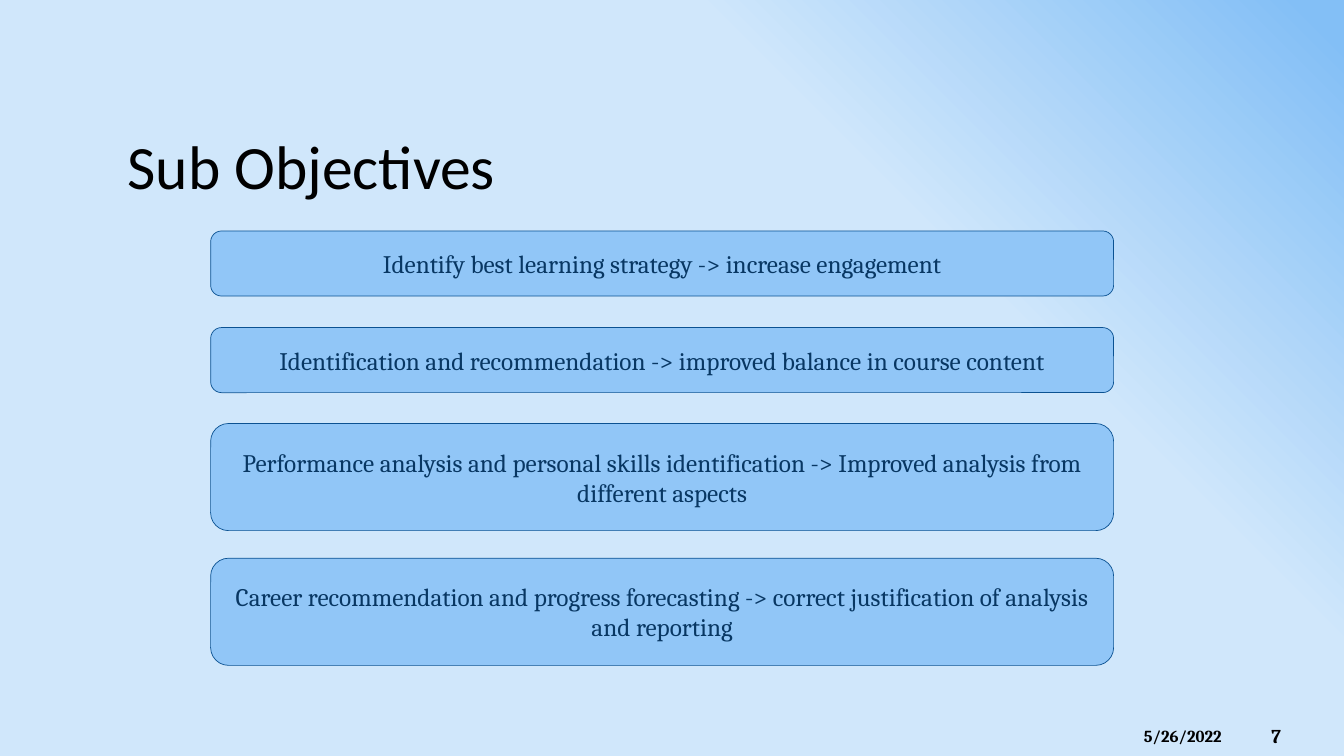
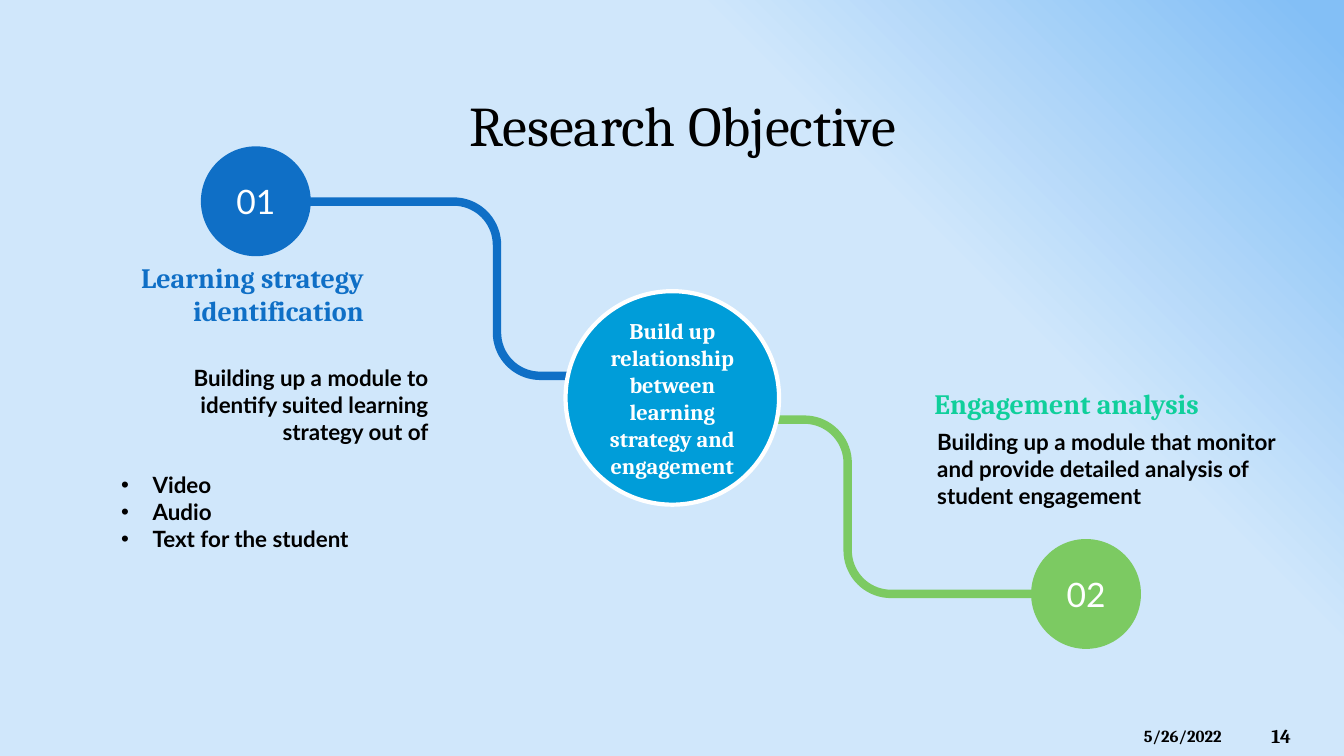
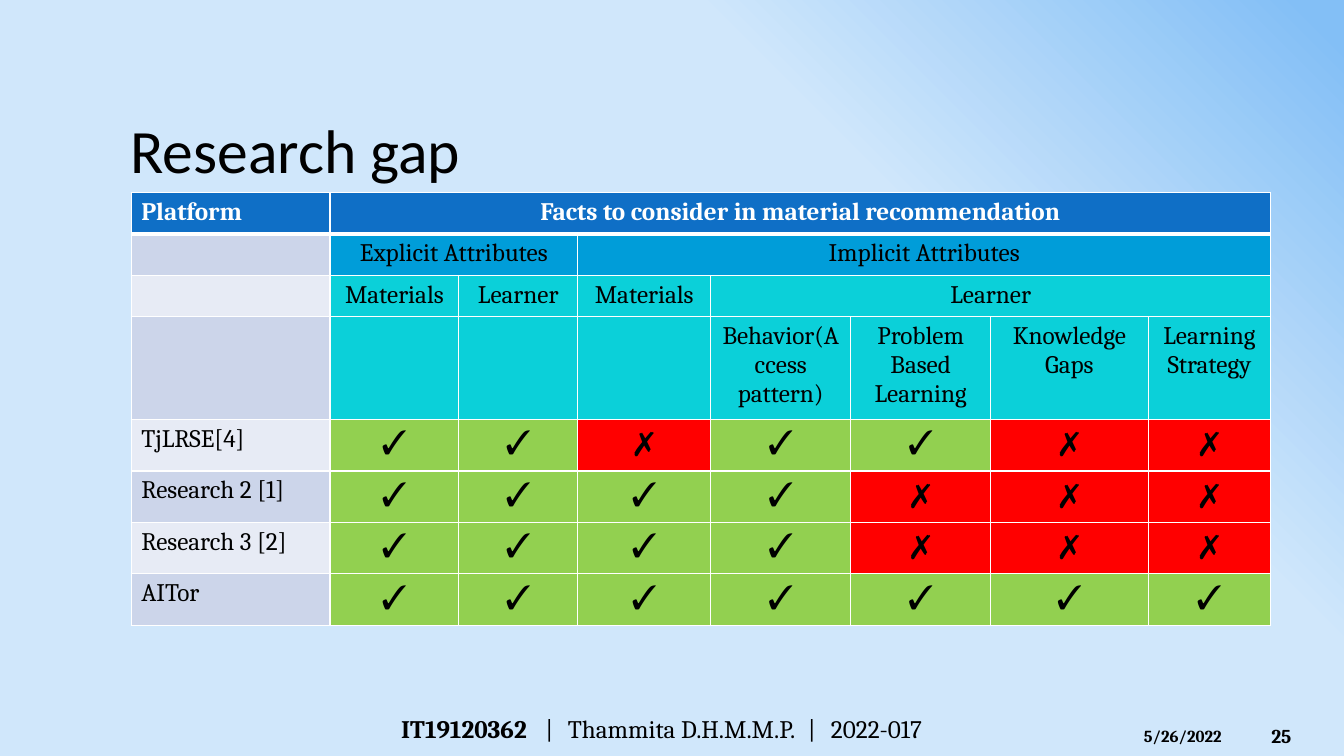
from math import cos, radians, sin

from lxml.etree import SubElement
from pptx import Presentation
from pptx.dml.color import RGBColor
from pptx.enum.shapes import MSO_SHAPE as Preset
from pptx.enum.text import MSO_ANCHOR as Anchor, PP_ALIGN as Align
from pptx.oxml.ns import qn
from pptx.util import Pt

SERIF, SANS, TITLE_FONT = "Cambria", "Lato", "Calibri"
BLACK, WHITE = "000000", "FFFFFF"
BLUE, SKY, TEAL, MINT, GREEN = "0F6FC6", "009DD9", "0BD0D9", "10CF9B", "7CCA62"
BOX_FILL, BOX_LINE, BOX_TEXT = "91C6F7", "0B5292", "083763"
BANDS = ("CCD5EA", "E7EBF5")
MARK_FILLS = {"✓": "92D050", "✗": "FF0000"}
BACKGROUND_STOPS = [(69, "D0E7FB"), (98, "83BFF6"), (100, "83BFF6"), (100, "ACD4F9")]
DATE = "5/26/2022"

# text, top, height
SUB_OBJECTIVES = [
    ("Identify best learning strategy -> increase engagement", 165, 46.5),
    ("Identification and recommendation -> improved balance in course content",
     234, 46.5),
    ("Performance analysis and personal skills identification -> "
     "Improved analysis from different aspects", 302.5, 76.5),
    ("Career recommendation and progress forecasting -> "
     "correct justification of analysis and reporting", 398.75, 76.5),
]

# left, top, horizontal offset of the vertical part, colour
PIPES = [(209, 144, 146, BLUE), (493, 299.75, 112.5, GREEN)]
PIPE_WIDTH, PIPE_HEIGHT, BEND_RADIUS = 258.5, 124.5, 31

# text, left, top, diameter, fill, outline, font, size, bold
CIRCLES = [
    ("Build up relationship between learning strategy and engagement",
     404, 208, 152.5, SKY, WHITE, SERIF, 16, True),
    ("01", 143.5, 104.5, 78.5, BLUE, None, SANS, 24, False),
    ("02", 736.5, 385, 78.5, GREEN, None, SANS, 24, False),
]

MODULE_TEXT = "Building up a module to identify suited learning strategy out of"
MATERIALS = ["Video", "Audio", "Text for the student"]
ENGAGEMENT_TEXT = ("Building up a module that monitor and provide detailed "
                   "analysis of student engagement")

COLUMN_WIDTHS = [142, 92, 85, 95, 100, 100, 112.5, 87.5]
ROW_HEIGHTS = [29.5] * 3 + [73.5] + [36.75] * 4
# fill, then (text, columns spanned) after the platform column
HEADER_ROWS = [
    (BLUE, [("Facts to consider in material recommendation", 7)]),
    (SKY, [("Explicit Attributes", 2), ("Implicit Attributes", 5)]),
    (TEAL, [("Materials", 1), ("Learner", 1), ("Materials", 1), ("Learner", 4)]),
    (TEAL, [("", 1), ("", 1), ("", 1), ("Behavior(Access pattern)", 1),
            ("Problem Based Learning", 1), ("Knowledge Gaps", 1),
            ("Learning Strategy", 1)]),
]
PLATFORMS = [
    ("TjLRSE[4]", "✓✓✗✓✓✗✗"),
    ("Research 2 [1]", "✓✓✓✓✗✗✗"),
    ("Research 3 [2]", "✓✓✓✓✗✗✗"),
    ("AITor", "✓✓✓✓✓✓✓"),
]

AUTHOR_ID = "IT19120362"
AUTHOR_DETAILS = "\t|\tThammita D.H.M.M.P.\t|\t2022-017"
AUTHOR_TABS = [103, 119, 290.5, 307]


def rgb(color):
    return RGBColor.from_string(color)


def paint(shape, fill=None, line=None, line_width=1):
    shape.shadow.inherit = False
    if fill:
        shape.fill.solid()
        shape.fill.fore_color.rgb = rgb(fill)
    else:
        shape.fill.background()
    if line:
        shape.line.color.rgb = rgb(line)
        shape.line.width = Pt(line_width)
    else:
        shape.line.fill.background()


def write(frame, text, size, font=SERIF, color=BLACK, bold=False, align=Align.LEFT):
    frame.text = text
    for para in frame.paragraphs:
        para.alignment = align
        for span in para.runs:
            span.font.size = Pt(size)
            span.font.name = font
            span.font.bold = bold
            span.font.color.rgb = rgb(color)


def add_text(slide, place, text, size, anchor=Anchor.TOP, inset=True, **style):
    box = slide.shapes.add_textbox(*map(Pt, place))
    frame = box.text_frame
    frame.word_wrap = True
    frame.vertical_anchor = anchor
    if not inset:
        clear_margins(frame)
    write(frame, text, size, **style)
    return frame


def clear_margins(frame):
    frame.margin_left = frame.margin_right = 0
    frame.margin_top = frame.margin_bottom = 0


def add_label_shape(slide, preset, place, text, size, paint_style, **style):
    shape = slide.shapes.add_shape(preset, *map(Pt, place))
    paint(shape, *paint_style)
    frame = shape.text_frame
    frame.word_wrap = True
    frame.vertical_anchor = Anchor.MIDDLE
    write(frame, text, size, align=Align.CENTER, **style)
    return frame


def set_background(master):
    fill = master.background.fill
    fill.gradient()
    fill.gradient_angle = 45
    stop_list = next(master.element.iter(qn("a:gsLst")))
    for stop in list(stop_list):
        stop_list.remove(stop)
    for position, color in BACKGROUND_STOPS:
        stop = SubElement(stop_list, qn("a:gs"), pos=str(position * 1000))
        SubElement(stop, qn("a:srgbClr"), val=color)


def new_slide(deck, number):
    slide = deck.slides.add_slide(deck.slide_layouts[6])
    add_text(slide, (901, 511, 53, 29), number, 14, Anchor.MIDDLE, bold=True)
    add_text(slide, (810, 515, 84, 22), DATE, 12, bold=True)
    return slide


def add_title(slide, place, text):
    add_text(slide, place, text, 44, Anchor.MIDDLE, font=TITLE_FONT)


def add_pipe(slide, left, top, bend, color):
    """Draw a stepped line with two rounded corners."""
    middle, bottom = left + bend, top + PIPE_HEIGHT
    angles = [radians(degrees) for degrees in range(0, 91, 5)]
    radius = BEND_RADIUS
    points = [(middle - radius + radius * sin(a), top + radius - radius * cos(a))
              for a in angles]
    points += [(middle + radius - radius * cos(a), bottom - radius + radius * sin(a))
               for a in angles]
    points.append((left + PIPE_WIDTH, bottom))
    outline = slide.shapes.build_freeform(Pt(left), Pt(top))
    outline.add_line_segments([(Pt(x), Pt(y)) for x, y in points], close=False)
    paint(outline.convert_to_shape(), line=color, line_width=6)


def add_bullet(para):
    properties = para._p.get_or_add_pPr()
    properties.set("marL", str(Pt(22.5)))
    properties.set("indent", str(-Pt(22.5)))
    SubElement(properties, qn("a:buFont"), typeface="Arial")
    SubElement(properties, qn("a:buChar"), char="•")


def add_tabs(para, positions):
    tab_list = SubElement(para._p.get_or_add_pPr(), qn("a:tabLst"))
    for position in positions:
        SubElement(tab_list, qn("a:tab"), pos=str(Pt(position)), algn="l")


def fill_cell(cell, text, fill, size=18, top=1, bottom=1, **style):
    """Set borders, fill and text; top and bottom are border widths."""
    properties = cell._tc.get_or_add_tcPr()
    for side, width in (("L", 1), ("R", 1), ("T", top), ("B", bottom)):
        border = SubElement(properties, qn("a:ln" + side), w=str(Pt(width)))
        solid = SubElement(border, qn("a:solidFill"))
        SubElement(solid, qn("a:srgbClr"), val=WHITE)
    cell.fill.solid()
    cell.fill.fore_color.rgb = rgb(fill)
    write(cell.text_frame, text, size, **style)


def build_sub_objectives(deck):
    slide = new_slide(deck, "7")
    add_title(slide, (84, 60, 816, 116), "Sub Objectives")
    for text, top, height in SUB_OBJECTIVES:
        add_label_shape(slide, Preset.ROUNDED_RECTANGLE, (150.5, top, 645, height),
                        text, 18, (BOX_FILL, BOX_LINE, 0.5), color=BOX_TEXT)


def build_research_objective(deck):
    slide = new_slide(deck, "14")
    for pipe in PIPES:
        add_pipe(slide, *pipe)
    for text, left, top, diameter, fill, line, font, size, bold in CIRCLES:
        frame = add_label_shape(
            slide, Preset.OVAL, (left, top, diameter, diameter), text, size,
            (fill, line, 3), font=font, color=WHITE, bold=bold)
        clear_margins(frame)
    add_text(slide, (55.5, 61, 864, 56), "Research Objective", 40, Anchor.MIDDLE,
             inset=False, align=Align.CENTER)

    frame = add_text(slide, (86.5, 260, 219.5, 116.5),
                     "\n".join([MODULE_TEXT, *MATERIALS]), 16,
                     inset=False, font=SANS, bold=True)
    intro, *bullets = frame.paragraphs
    intro.alignment = Align.RIGHT
    intro.space_after = Pt(19.25)
    for para in bullets:
        add_bullet(para)

    add_text(slide, (16, 186, 244, 48), "Learning strategy identification", 20,
             Anchor.BOTTOM, inset=False, color=BLUE, bold=True, align=Align.RIGHT)
    add_text(slide, (669.5, 306, 244, 58), ENGAGEMENT_TEXT, 16,
             inset=False, font=SANS, bold=True)
    add_text(slide, (667.5, 276, 244, 24), "Engagement analysis", 20,
             Anchor.BOTTOM, inset=False, color=MINT, bold=True)


def build_research_gap(deck):
    slide = new_slide(deck, "25")
    add_title(slide, (86, 75.5, 816, 62), "Research gap")

    frame = add_text(slide, (279.5, 505.5, 536, 29), AUTHOR_ID, 18,
                     Anchor.MIDDLE, bold=True)
    para = frame.paragraphs[0]
    add_tabs(para, AUTHOR_TABS)
    details = para.add_run()
    details.text = AUTHOR_DETAILS
    details.font.size = Pt(18)
    details.font.name = SERIF
    details.font.color.rgb = rgb(BLACK)

    table = slide.shapes.add_table(
        len(ROW_HEIGHTS), len(COLUMN_WIDTHS), Pt(93.75), Pt(137.75),
        Pt(sum(COLUMN_WIDTHS)), Pt(sum(ROW_HEIGHTS))).table
    table.horz_banding = False
    for column, width in zip(table.columns, COLUMN_WIDTHS):
        column.width = Pt(width)
    for row, height in zip(table.rows, ROW_HEIGHTS):
        row.height = Pt(height)

    for row, (fill, groups) in enumerate(HEADER_ROWS):
        style = dict(color=WHITE if row == 0 else BLACK, bold=row == 0,
                     top=3 if row == 1 else 1, bottom=3 if row == 0 else 1)
        first_text, first_fill = ("", BANDS[(row + 1) % 2]) if row else ("Platform", BLUE)
        fill_cell(table.cell(row, 0), first_text, first_fill, **style)
        column = 1
        for text, span in groups:
            for offset in range(span):
                fill_cell(table.cell(row, column + offset), "" if offset else text,
                          fill, align=Align.CENTER, **style)
            if span > 1:
                table.cell(row, column).merge(table.cell(row, column + span - 1))
            column += span

    for row, (platform, marks) in enumerate(PLATFORMS, len(HEADER_ROWS)):
        fill_cell(table.cell(row, 0), platform, BANDS[(row + 1) % 2])
        for column, mark in enumerate(marks, 1):
            fill_cell(table.cell(row, column), mark, MARK_FILLS[mark], 24,
                      align=Align.CENTER)


def main():
    deck = Presentation()
    deck.slide_width, deck.slide_height = Pt(960), Pt(540)
    set_background(deck.slide_master)
    build_sub_objectives(deck)
    build_research_objective(deck)
    build_research_gap(deck)
    deck.save("out.pptx")


if __name__ == "__main__":
    main()
